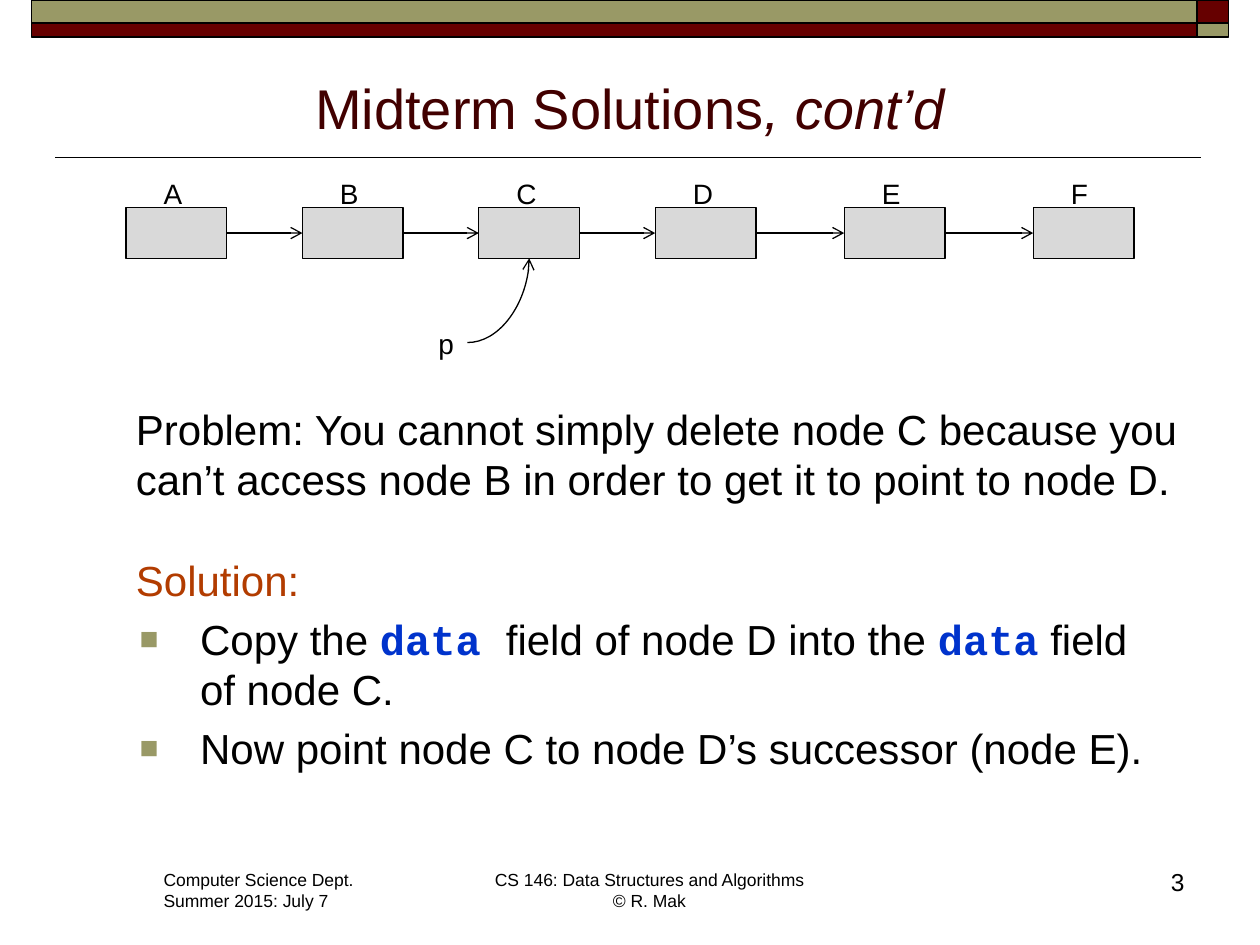
from lxml import etree
from pptx import Presentation
from pptx.dml.color import RGBColor
from pptx.enum.shapes import MSO_CONNECTOR, MSO_SHAPE
from pptx.enum.text import MSO_ANCHOR, MSO_AUTO_SIZE, PP_ALIGN
from pptx.oxml.ns import qn
from pptx.util import Pt

RECTANGLE = MSO_SHAPE.RECTANGLE
STRAIGHT, CURVE = MSO_CONNECTOR.STRAIGHT, MSO_CONNECTOR.CURVE
LEFT, CENTER, RIGHT = PP_ALIGN.LEFT, PP_ALIGN.CENTER, PP_ALIGN.RIGHT
TOP, BOTTOM = MSO_ANCHOR.TOP, MSO_ANCHOR.BOTTOM

BLACK, GRAY, OLIVE, MAROON = "000000", "D9D9D9", "999966", "660000"
TITLE_COLOR, SOLUTION_COLOR, CODE_COLOR = "420000", "B23C00", "0033CC"

TITLE = [("Midterm Solutions", {}), (", cont’d", {"italic": True})]
CODE = {"name": "Courier New", "color": CODE_COLOR, "bold": True}
# Space before, bulleted, runs
BODY = [
    (0, False, [("Problem: You cannot simply delete node C because you can’t "
                 "access node B in order to get it to point to node D.", {})]),
    (28.8, False, [("Solution:", {"color": SOLUTION_COLOR})]),
    (4.8, True, [("Copy the ", {}), ("data ", CODE),
                 ("field of node D into the ", {}), ("data", CODE),
                 (" field \nof node C.", {})]),
    (4.8, True, [("Now point node C to node D’s successor (node E).", {})]),
]
DEPARTMENT = ["Computer Science Dept.", "Summer 2015: July 7"]
COURSE = "CS 146: Data Structures and Algorithms\n© R. Mak"
PAGE_NUMBER = "3"

NODES = [("A", 72), ("B", 172.8), ("C", 273.6),
         ("D", 374.4), ("E", 482.4), ("F", 590.4)]
NODE_TOP, NODE_WIDTH, NODE_HEIGHT = 118.8, 57.6, 28.8
POINTED_NODE = "C"
BODY_INDENT, BULLET_HANG = 34.6, 36.7

BAND_COLUMNS = [(18, 666), (684, 18)]
BAND_ROWS = [(0, 13, (OLIVE, MAROON)), (13, 8, (MAROON, OLIVE))]


def rgb(color):
    return RGBColor.from_string(color)


def add_rectangle(slide, left, top, width, height, fill, line_width):
    shape = slide.shapes.add_shape(RECTANGLE, Pt(left), Pt(top), Pt(width), Pt(height))
    shape.shadow.inherit = False
    shape.fill.solid()
    shape.fill.fore_color.rgb = rgb(fill)
    shape.line.color.rgb = rgb(BLACK)
    shape.line.width = Pt(line_width)


def add_line(slide, start, end, width=0.75, arrow=True, kind=STRAIGHT):
    connector = slide.shapes.add_connector(kind, *map(Pt, start + end))
    connector.line.color.rgb = rgb(BLACK)
    connector.line.width = Pt(width)
    properties = connector._element.spPr
    if arrow:
        etree.SubElement(properties.find(qn("a:ln")), qn("a:tailEnd"), type="arrow")
    etree.SubElement(properties, qn("a:effectLst"))
    if kind == CURVE:
        properties.find(qn("a:prstGeom")).set("prst", "curvedConnector2")


def add_run(paragraph, text, size, name="Arial", color=BLACK, bold=False, italic=False):
    for index, line in enumerate(text.split("\n")):
        if index:
            paragraph.add_line_break()
        run = paragraph.add_run()
        run.text = line
        font = run.font
        font.size, font.name, font.bold, font.italic = Pt(size), name, bold, italic
        font.color.rgb = rgb(color)


def add_frame(slide, left, top, width, height, wrap=True, anchor=TOP):
    box = slide.shapes.add_textbox(Pt(left), Pt(top), Pt(width), Pt(height))
    frame = box.text_frame
    frame.word_wrap = wrap
    frame.auto_size = MSO_AUTO_SIZE.NONE if wrap else MSO_AUTO_SIZE.SHAPE_TO_FIT_TEXT
    frame.vertical_anchor = anchor
    return frame


def add_paragraphs(frame, paragraphs, size, alignment=LEFT, color=BLACK):
    """Fill the frame with paragraphs, each a list of (text, format) runs."""
    for index, runs in enumerate(paragraphs):
        paragraph = frame.add_paragraph() if index else frame.paragraphs[0]
        paragraph.alignment = alignment
        for text, style in runs:
            add_run(paragraph, text, size, **{"color": color, **style})


def indent(paragraph, bulleted):
    properties = paragraph._p.get_or_add_pPr()
    margin = BODY_INDENT + (BULLET_HANG if bulleted else 0)
    properties.set("marL", str(int(Pt(margin))))
    properties.set("indent", str(int(Pt(-BODY_INDENT if bulleted else 0))))
    if bulleted:
        bullet_color = etree.SubElement(properties, qn("a:buClr"))
        etree.SubElement(bullet_color, qn("a:srgbClr"), val=OLIVE)
        etree.SubElement(properties, qn("a:buSzPct"), val="75000")
        etree.SubElement(properties, qn("a:buFont"), typeface="Arial")
        etree.SubElement(properties, qn("a:buChar"), char="■")


def add_header(slide):
    add_line(slide, (686.2, 90), (31.7, 90), width=1, arrow=False)
    for top, height, colors in BAND_ROWS:
        for (left, width), color in zip(BAND_COLUMNS, colors):
            add_rectangle(slide, left, top, width, height, color, 1)
    frame = add_frame(slide, 36, 32.4, 648, 51.8, anchor=BOTTOM)
    add_paragraphs(frame, [TITLE], 32, CENTER, TITLE_COLOR)


def add_body(slide):
    frame = add_frame(slide, 36, 226.8, 648, 255.6)
    add_paragraphs(frame, [runs for _, _, runs in BODY], 24)
    for paragraph, (space_before, bulleted, _) in zip(frame.paragraphs, BODY):
        indent(paragraph, bulleted)
        paragraph.space_before = Pt(space_before)


def add_footer(slide):
    frame = add_frame(slide, 86.4, 493.2, 124.6, 31.7, wrap=False)
    add_paragraphs(frame, [[(line, {})] for line in DEPARTMENT], 10)
    frame = add_frame(slide, 275, 493.2, 192.2, 31.7, wrap=False)
    add_paragraphs(frame, [[(COURSE, {})]], 10, CENTER)
    frame = add_frame(slide, 534.2, 491.8, 149.8, 36)
    add_paragraphs(frame, [[(PAGE_NUMBER, {})]], 14, RIGHT)


def add_label(slide, text, left, top):
    frame = add_frame(slide, left, top, 25, 26.6, wrap=False)
    add_paragraphs(frame, [[(text, {})]], 16)


def add_linked_list(slide):
    middle = NODE_TOP + NODE_HEIGHT / 2
    for label, left in NODES:
        add_rectangle(slide, left, NODE_TOP, NODE_WIDTH, NODE_HEIGHT, GRAY, 0.75)
        add_label(slide, label, left + 14.4, 97.2)
    for (_, left), (_, next_left) in zip(NODES, NODES[1:]):
        add_line(slide, (left + NODE_WIDTH, middle), (next_left, middle))
    add_label(slide, "p", 243.4, 182.9)
    target = dict(NODES)[POINTED_NODE] + NODE_WIDTH / 2
    add_line(slide, (267.1, 195.8), (target, NODE_TOP + NODE_HEIGHT), kind=CURVE)


def main():
    presentation = Presentation()
    presentation.slide_width, presentation.slide_height = Pt(720), Pt(540)
    slide = presentation.slides.add_slide(presentation.slide_layouts[6])
    add_header(slide)
    add_body(slide)
    add_footer(slide)
    add_linked_list(slide)
    presentation.save("out.pptx")


if __name__ == "__main__":
    main()
